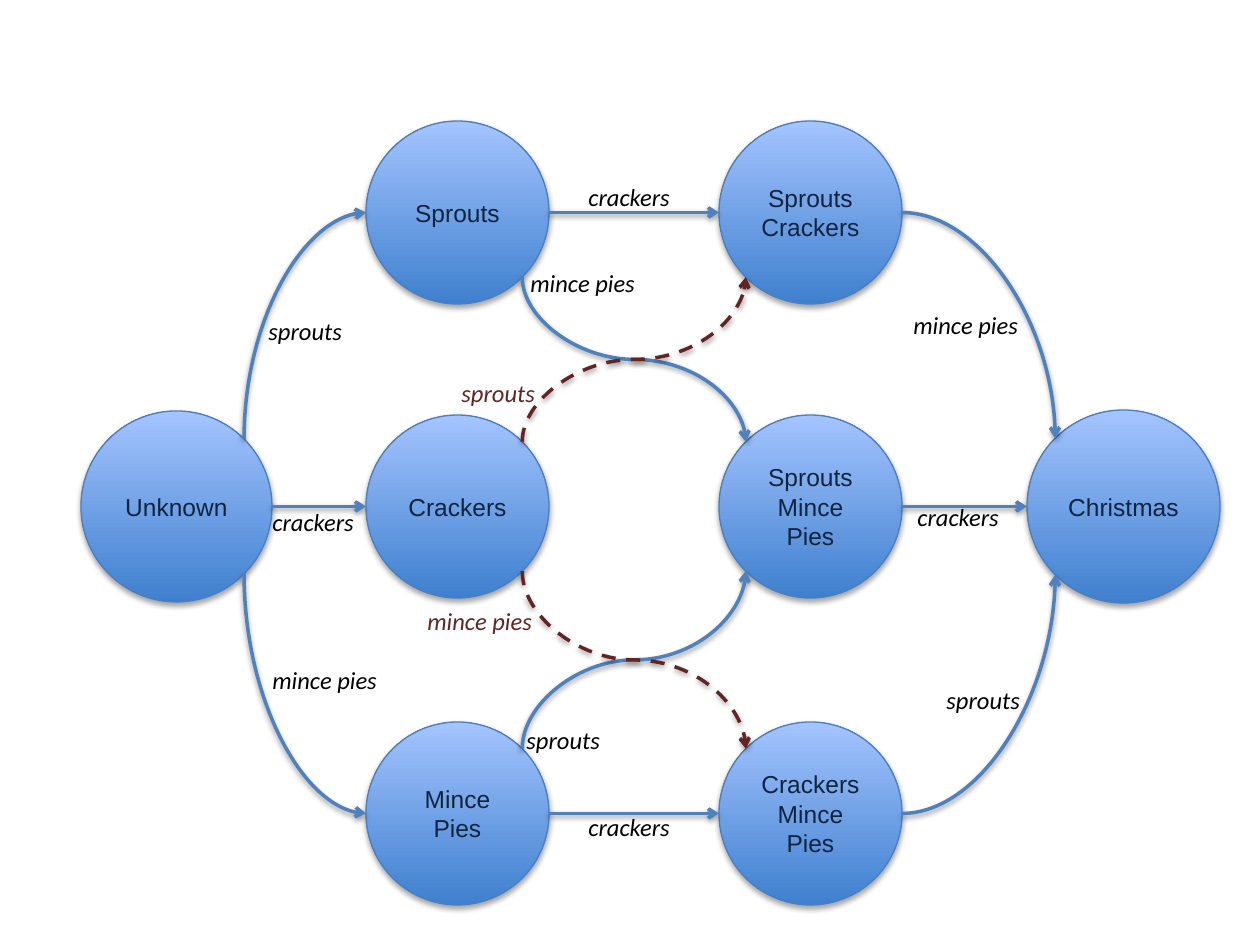
from math import sqrt

from lxml.etree import SubElement
from pptx import Presentation
from pptx.dml.color import RGBColor
from pptx.enum.dml import MSO_LINE_DASH_STYLE as Dash
from pptx.enum.shapes import MSO_CONNECTOR as Connector, MSO_SHAPE as Shape
from pptx.enum.text import MSO_ANCHOR as Anchor, MSO_AUTO_SIZE as AutoSize, PP_ALIGN as Align
from pptx.oxml.ns import qn
from pptx.util import Pt

PIXEL = 914400 // 126
COLORS = {
    "circle_bottom": "3F80CE",
    "circle_top": "A4C4FF",
    "circle_line": "4B7EBC",
    "circle_text": "0F243E",
    "arrow": "4F81BD",
    "alternate": "632523",
    "label": "000000",
    "shadow": "000000",
}

# State: left, top, diameter, text (\v breaks a line, \n starts a paragraph)
STATES = {
    "unknown": (81, 411, 191, "Unknown"),
    "sprouts": (366, 121, 183, "Sprouts"),
    "crackers": (366, 415, 183, "Crackers"),
    "pies": (366, 722, 183, "Mince Pies"),
    "sprouts_crackers": (719, 121, 183, "Sprouts\nCrackers"),
    "sprouts_pies": (719, 415, 183, "Sprouts\vMince Pies"),
    "crackers_pies": (719, 722, 183, "Crackers\vMince Pies"),
    "christmas": (1027, 410, 193, "Christmas"),
}

# Transition: from state and side, to state and side, colour
TRANSITIONS = [
    ("unknown", "ne", "sprouts", "w", "arrow"),
    ("unknown", "se", "pies", "w", "arrow"),
    ("unknown", "e", "crackers", "w", "arrow"),
    ("sprouts", "e", "sprouts_crackers", "w", "arrow"),
    ("sprouts", "se", "sprouts_pies", "nw", "arrow"),
    ("pies", "e", "crackers_pies", "w", "arrow"),
    ("pies", "ne", "sprouts_pies", "sw", "arrow"),
    ("crackers", "ne", "sprouts_crackers", "sw", "alternate"),
    ("crackers", "se", "crackers_pies", "nw", "alternate"),
    ("sprouts_crackers", "e", "christmas", "nw", "arrow"),
    ("sprouts_pies", "e", "christmas", "w", "arrow"),
    ("crackers_pies", "e", "christmas", "sw", "arrow"),
]

# Label: text, left, top, colour
LABEL_WIDTHS = {"sprouts": 106, "crackers": 115, "mince pies": 139}
LABELS = [
    ("sprouts", 449, 372, "alternate"),
    ("mince pies", 415, 600, "alternate"),
    ("sprouts", 256, 310, "label"),
    ("sprouts", 934, 679, "label"),
    ("sprouts", 514, 719, "label"),
    ("crackers", 260, 501, "label"),
    ("crackers", 576, 176, "label"),
    ("crackers", 905, 496, "label"),
    ("mince pies", 901, 304, "label"),
    ("mince pies", 260, 659, "label"),
    ("crackers", 576, 806, "label"),
    ("mince pies", 518, 262, "label"),
]


def emu(*pixels):
    return [round(value * PIXEL) for value in pixels]


def color(name):
    return RGBColor.from_string(COLORS[name])


def style_text(box, name, font_name, italic, align):
    for para in box.text_frame.paragraphs:
        para.alignment = align
        para.font.name = font_name
        para.font.size = Pt(14)
        para.font.italic = italic
        para.font.color.rgb = color(name)


def add_shadow(effects, distance, alpha):
    shadow = SubElement(effects, qn("a:outerShdw"), blurRad="40000", dist=str(distance),
                        dir="5400000", rotWithShape="0")
    tint = SubElement(shadow, qn("a:srgbClr"), val=COLORS["shadow"])
    SubElement(tint, qn("a:alpha"), val=str(alpha * 1000))


def add_state(page, left, top, size, text):
    circle = page.shapes.add_shape(Shape.OVAL, *emu(left, top, size, size))
    circle.fill.gradient()
    circle.fill.gradient_angle = 90
    for stop, name in zip(circle.fill.gradient_stops, ("circle_bottom", "circle_top")):
        stop.color.rgb = color(name)
    circle.line.color.rgb = color("circle_line")
    circle.line.width = Pt(0.75)
    circle.shadow.inherit = False
    add_shadow(circle._element.spPr.find(qn("a:effectLst")), 23000, 35)
    frame = circle.text_frame
    frame.text = text
    frame.word_wrap = True
    frame.vertical_anchor = Anchor.MIDDLE
    style_text(circle, "circle_text", "Arial", False, Align.CENTER)


def port(state, side):
    """Point on a state's circle in a compass direction."""
    left, top, size, _ = STATES[state]
    reach = size / 2 / sqrt(len(side))
    across = ("e" in side) - ("w" in side)
    down = ("s" in side) - ("n" in side)
    return left + size / 2 + across * reach, top + size / 2 + down * reach


def add_transition(page, start, start_side, end, end_side, name):
    x1, y1 = port(start, start_side)
    x2, y2 = port(end, end_side)
    turn = 0
    # A diagonal start leaves vertically, so its frame is turned about the centre
    if len(start_side) == 2:
        turn = 270 if y2 > y1 else 90
        mid_x, mid_y = (x1 + x2) / 2, (y1 + y2) / 2
        half_x, half_y = (y2 - y1) / 2, (x2 - x1) / 2
        x1, x2 = mid_x + abs(half_x), mid_x - abs(half_x)
        sign = 1 if half_x > 0 else -1
        y1, y2 = mid_y - sign * half_y, mid_y + sign * half_y
    curve = page.shapes.add_connector(Connector.CURVE, *emu(x1, y1, x2, y2))
    properties = curve._element.spPr
    if turn:
        properties.find(qn("a:xfrm")).set("rot", str(turn * 60000))
    if len(start_side) != len(end_side):
        properties.find(qn("a:prstGeom")).set("prst", "curvedConnector2")
    curve.line.color.rgb = color(name)
    curve.line.width = Pt(2)
    if name == "alternate":
        curve.line.dash_style = Dash.DASH
    SubElement(properties.find(qn("a:ln")), qn("a:tailEnd"), type="arrow")
    add_shadow(SubElement(properties, qn("a:effectLst")), 20000, 38)


def add_label(page, text, left, top, name):
    box = page.shapes.add_textbox(*emu(left, top, LABEL_WIDTHS[text], 43))
    frame = box.text_frame
    frame.text = text
    frame.word_wrap = False
    frame.auto_size = AutoSize.SHAPE_TO_FIT_TEXT
    style_text(box, name, "Calibri", True, Align.LEFT)


def main():
    deck = Presentation()
    deck.slide_width, deck.slide_height = emu(1260, 945)
    page = deck.slides.add_slide(deck.slide_layouts[6])

    # States
    for state in STATES.values():
        add_state(page, *state)
    # Transitions between states
    for transition in TRANSITIONS:
        add_transition(page, *transition)
    # Names of the transitions
    for label in LABELS:
        add_label(page, *label)

    deck.save("out.pptx")


main()
